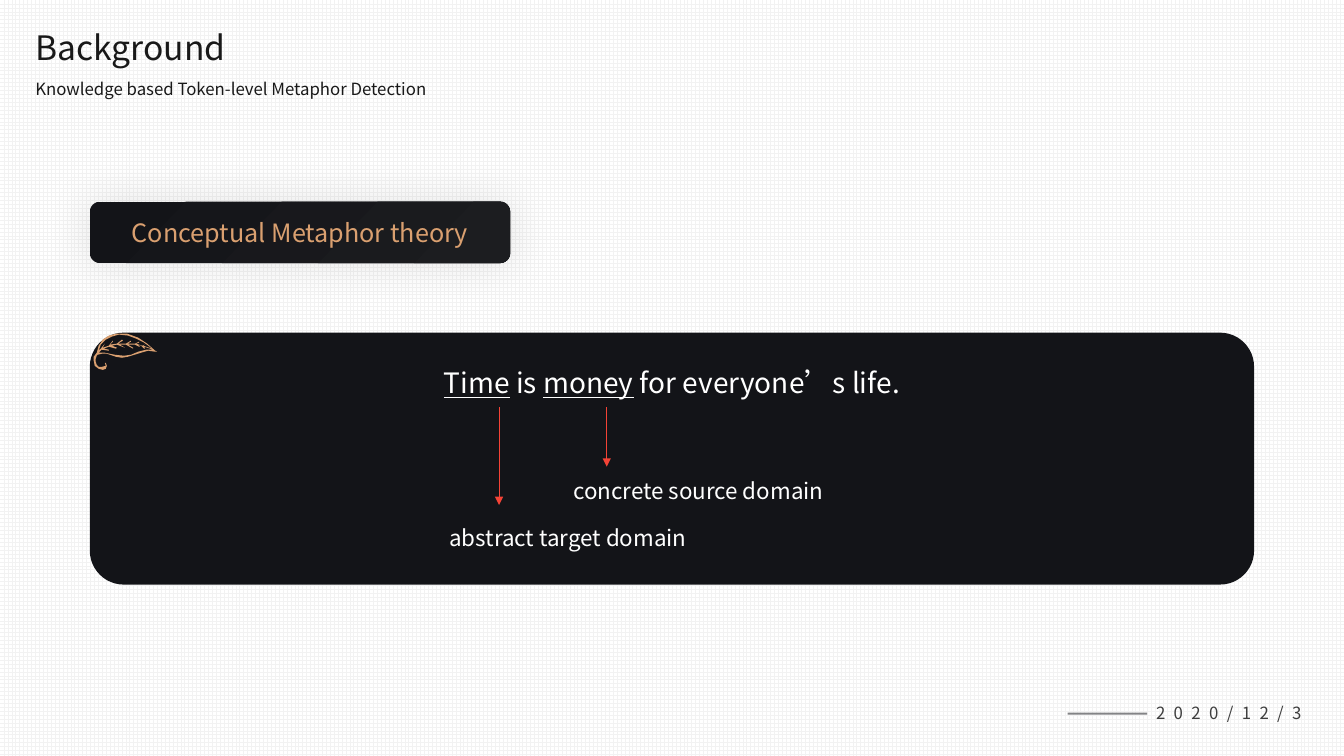
"""Build the metaphor theory background slide."""
from dataclasses import dataclass

from lxml.etree import SubElement
from pptx import Presentation
from pptx.dml.color import RGBColor
from pptx.enum.dml import MSO_PATTERN
from pptx.enum.shapes import MSO_CONNECTOR, MSO_SHAPE
from pptx.enum.text import MSO_ANCHOR, PP_ALIGN
from pptx.oxml.ns import qn
from pptx.util import Inches, Pt


@dataclass(frozen=True)
class Theme:
    dark: str = "131418"
    dark_end: str = "1C1D20"
    gold: str = "DAA070"
    white: str = "FFFFFF"
    grid: str = "F2F2F2"
    ink: str = "191919"
    date: str = "3E3E3E"
    rule: str = "838486"
    arrow: str = "F44336"
    shadow: str = "343434"
    heading_font: str = "Noto Sans CJK JP"
    body_font: str = "Noto Sans CJK SC"
    title: int = 24
    sentence: int = 20
    theory: int = 18
    domain: int = 16
    small: int = 12


THEME = Theme()
TITLE = ("Background", (2.63, 2.8, 29.93, 5.73), THEME.title)
SUBTITLE = ("Knowledge based Token-level Metaphor Detection",
            (2.63, 10, 33.53, 2.8), THEME.small)
THEORY = "Conceptual Metaphor theory"
SENTENCE = [("Time", True), (" is ", False), ("money", True),
            (" for everyone’s life.", False)]
DOMAINS = [("abstract target domain", (32.7, 68.67, 19.95, 4.93)),
           ("concrete source domain", (41.93, 62.4, 21.53, 4.93))]
DATE = "2020/12/3"

THEORY_AREA = (6.68, 26.67, 31.28, 8.13)
PANEL_AREA = (6.68, 44, 86.63, 33.33)
SENTENCE_AREA = (10.8, 47.33, 78.38, 5.07)
DATE_AREA = (85.43, 92, 12.75, 4.53)
RULE_AREA = (79.43, 94.27, 5.93, 0.27)
ARROW_TOP = 53.87
ARROWS = [(37.13, 66.8), (45.15, 61.73)]
TIGHT = (0, 0, 0.1, 0)
NORMAL = (0.1, 0.05, 0.1, 0.05)

LEAF_OUTLINE = [
    (105, 360), (104, 360), (105, 363), (101, 364), (98, 364), (96, 362),
    (95, 359), (95, 356), (96, 353), (97, 352), (101, 351), (106, 351),
    (115, 354), (121, 355), (127, 354), (140, 350), (147, 348), (154, 349),
    (156, 349), (154, 348), (146, 341), (137, 335), (126, 331), (116, 331),
    (108, 333), (102, 337), (98, 343), (96, 350), (93, 354), (93, 358),
    (94, 363), (98, 366), (102, 367), (105, 366), (106, 363)]
LEAF_UPPER = [
    (118, 332), (127, 333), (135, 336), (143, 340), (151, 346), (142, 343),
    (144, 342), (141, 343), (135, 341), (138, 340), (138, 339), (134, 341),
    (127, 341), (128, 340), (130, 339), (130, 338), (125, 341), (117, 341),
    (122, 338), (121, 337), (116, 341), (109, 342), (112, 339), (112, 338),
    (108, 343), (102, 345), (104, 341), (100, 346), (98, 348), (100, 342),
    (105, 337), (111, 334)]
LEAF_LOWER = [
    (100, 348), (101, 347), (108, 348), (108, 347), (103, 346), (108, 344),
    (115, 346), (116, 345), (111, 343), (116, 342), (124, 345), (119, 342),
    (125, 342), (132, 346), (132, 345), (127, 342), (134, 342), (138, 344),
    (139, 344), (137, 342), (140, 343), (143, 346), (144, 346), (143, 344),
    (149, 346), (152, 347), (145, 347), (137, 349), (130, 352), (123, 353),
    (114, 352), (104, 350), (98, 350)]

presentation = Presentation()
presentation.slide_width, presentation.slide_height = Inches(13.33), Inches(7.5)
slide = presentation.slides.add_slide(presentation.slide_layouts[6])


def color(value):
    return RGBColor.from_string(value)


def across(share):
    return round(presentation.slide_width * share / 100)


def down(share):
    return round(presentation.slide_height * share / 100)


def place(area):
    left, top, width, height = area
    return across(left), down(top), across(width), down(height)


def paint(shape, fill):
    shape.shadow.inherit = False
    shape.fill.solid()
    shape.fill.fore_color.rgb = color(fill)
    shape.line.fill.background()
    return shape


def add_block(kind, area, fill):
    return paint(slide.shapes.add_shape(kind, *place(area)), fill)


def write(shape, runs, size, font, fill, align=PP_ALIGN.LEFT, spacing=None,
          insets=NORMAL, anchor=MSO_ANCHOR.TOP, tracking=None):
    frame = shape.text_frame
    frame.word_wrap = True
    frame.vertical_anchor = anchor
    (frame.margin_left, frame.margin_top,
     frame.margin_right, frame.margin_bottom) = map(Inches, insets)
    paragraph = frame.paragraphs[0]
    paragraph.alignment = align
    paragraph.line_spacing = spacing
    for text, underlined in runs:
        run = paragraph.add_run()
        run.text = text
        run.font.size = Pt(size)
        run.font.name = font
        run.font.color.rgb = color(fill)
        run.font.underline = underlined
        properties = run.font._element
        SubElement(properties, qn("a:ea")).set("typeface", font)
        if tracking:
            properties.set("spc", str(tracking * 100))


def add_text(area, runs, *style, **layout):
    write(slide.shapes.add_textbox(*place(area)), runs, *style, **layout)


def add_glow(shape):
    effects = shape._element.spPr.find(qn("a:effectLst"))
    shadow = SubElement(effects, qn("a:outerShdw"), blurRad=str(Pt(30)),
                        dist="0", dir="0", algn="ctr", rotWithShape="0")
    tint = SubElement(shadow, qn("a:srgbClr"), val=THEME.shadow)
    SubElement(tint, qn("a:alpha"), val="12000")


def add_arrow(x, bottom):
    arrow = slide.shapes.add_connector(
        MSO_CONNECTOR.STRAIGHT, across(x), down(ARROW_TOP), across(x), down(bottom))
    arrow.line.color.rgb = color(THEME.arrow)
    arrow.line.width = Pt(0.5)
    SubElement(arrow.line._get_or_add_ln(), qn("a:tailEnd"), type="triangle")
    SubElement(arrow._element.spPr, qn("a:effectLst"))


def add_leaf():
    builder = slide.shapes.build_freeform(*LEAF_OUTLINE[0], scale=Inches(0.01))
    builder.add_line_segments(LEAF_OUTLINE[1:])
    for contour in (LEAF_UPPER, LEAF_LOWER):
        builder.move_to(*contour[0])
        builder.add_line_segments(contour[1:])
    paint(builder.convert_to_shape(), THEME.gold)


backdrop = slide.background.fill
backdrop.patterned()
backdrop.pattern = MSO_PATTERN.LARGE_GRID
backdrop.fore_color.rgb = color(THEME.grid)
backdrop.back_color.rgb = color(THEME.white)

add_block(MSO_SHAPE.RECTANGLE, RULE_AREA, THEME.rule)
add_text(DATE_AREA, [(DATE, False)], THEME.small, THEME.heading_font, THEME.date,
         align=PP_ALIGN.CENTER, insets=TIGHT, anchor=MSO_ANCHOR.MIDDLE, tracking=6)

panel = add_block(MSO_SHAPE.ROUNDED_RECTANGLE, PANEL_AREA, THEME.dark)
panel.adjustments[0] = 0.135
add_leaf()
add_text(SENTENCE_AREA, SENTENCE, THEME.sentence, THEME.body_font, THEME.white,
         align=PP_ALIGN.CENTER, spacing=1.23, insets=(0, 0, 0, 0))

theory = add_block(MSO_SHAPE.ROUNDED_RECTANGLE, THEORY_AREA, THEME.dark)
theory.fill.gradient()
theory.fill.gradient_angle = 316
for stop, shade in zip(theory.fill.gradient_stops, (THEME.dark, THEME.dark_end)):
    stop.color.rgb = color(shade)
add_glow(theory)
write(theory, [(THEORY, False)], THEME.theory, THEME.heading_font, THEME.gold,
      align=PP_ALIGN.CENTER, anchor=MSO_ANCHOR.MIDDLE)

for x, bottom in ARROWS:
    add_arrow(x, bottom)
for label, area in DOMAINS:
    add_text(area, [(label, False)], THEME.domain, THEME.body_font, THEME.white)
for heading, area, size in (TITLE, SUBTITLE):
    add_text(area, [(heading, False)], size, THEME.heading_font, THEME.ink,
             spacing=1.14, insets=TIGHT)

presentation.save("out.pptx")
